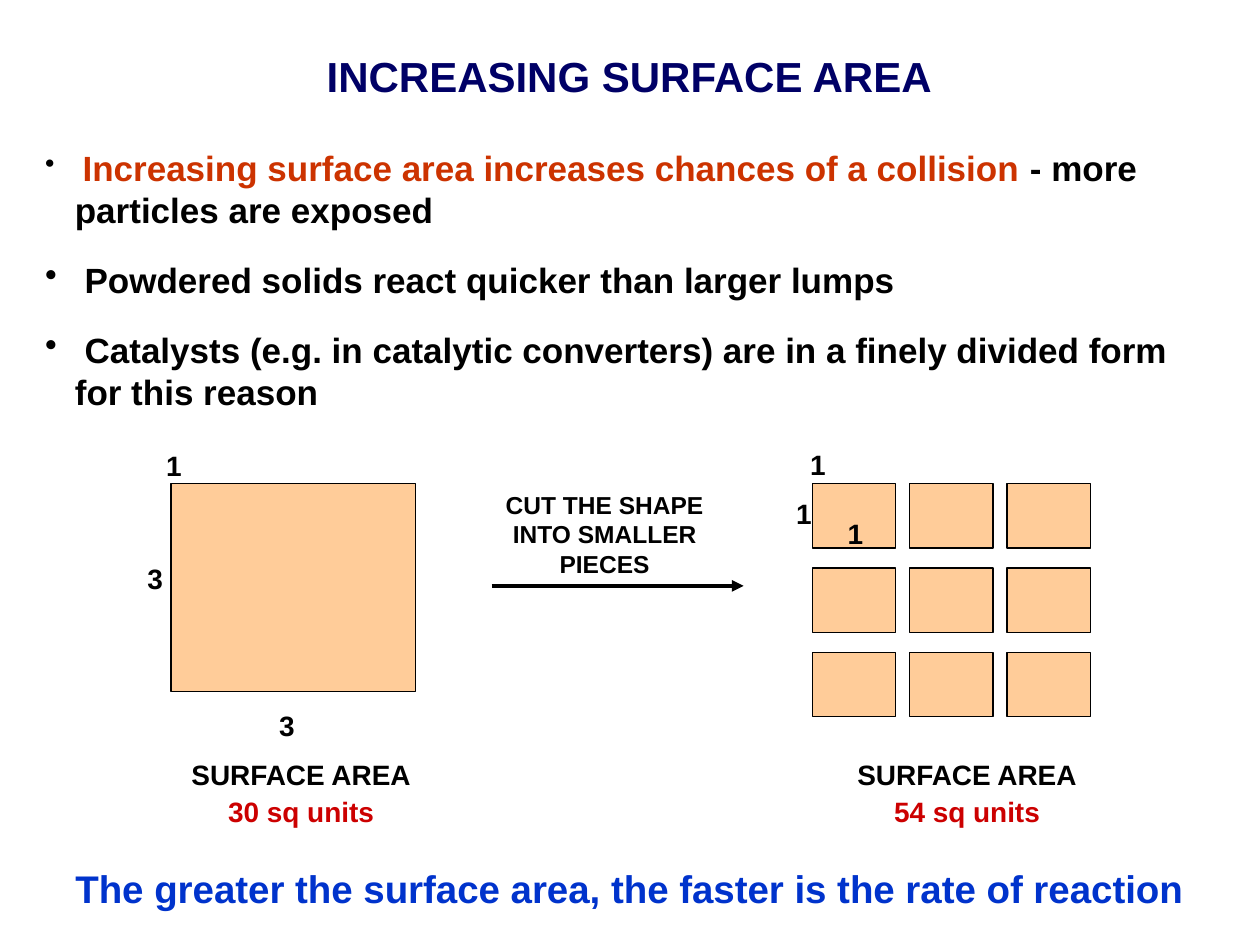
from dataclasses import dataclass
from itertools import product
from lxml.etree import SubElement
from pptx import Presentation
from pptx.dml.color import RGBColor as Rgb
from pptx.enum.shapes import MSO_CONNECTOR as Link, MSO_SHAPE as Kind
from pptx.enum.text import MSO_AUTO_SIZE as Fit, PP_ALIGN as Align
from pptx.oxml.ns import qn
from pptx.util import Cm, Pt


@dataclass(frozen=True)
class Theme:
    font: str = "Arial"
    black: str = "000000"
    navy: str = "000066"
    blue: str = "0033CC"
    rust: str = "CC3300"
    red: str = "CC0000"
    peach: str = "FFCC99"
    title: int = 24
    close: int = 22
    body: int = 20
    label: int = 16
    note: int = 14


theme = Theme()
deck = Presentation()
deck.slide_width, deck.slide_height = Cm(25.4), Cm(19.05)
slide = deck.slides.add_slide(deck.slide_layouts[6])


def add_text(box, paras, size, align=Align.CENTER, after=2):
    """Each paragraph is a list of (text, colour) runs."""
    frame = slide.shapes.add_textbox(*map(Cm, box)).text_frame
    frame.word_wrap = True
    frame.auto_size = Fit.SHAPE_TO_FIT_TEXT
    frame.text = "\n".join("".join(text for text, _ in runs) for runs in paras)
    for para, runs in zip(frame.paragraphs, paras):
        para.alignment = align
        para.space_after = Pt(after)
        if len(runs) > 1:
            para.text = ""
            for text, _ in runs:
                para.add_run().text = text
        for run, (_, color) in zip(para.runs, runs):
            font = run.font
            font.name, font.size, font.bold = theme.font, Pt(size), True
            font.color.rgb = Rgb.from_string(color)
    return frame


def add_block(left, top, width, height):
    block = slide.shapes.add_shape(Kind.RECTANGLE, *map(Cm, (left, top, width, height)))
    block.shadow.inherit = False
    block.fill.solid()
    block.fill.fore_color.rgb = Rgb.from_string(theme.peach)
    block.line.color.rgb = Rgb.from_string(theme.black)
    block.line.width = Pt(0.75)


# Title
add_text((4.01, 0.89, 17.35, 1.27), [[("INCREASING SURFACE AREA", theme.navy)]],
         theme.title, after=0)

# Bullet points
points = [
    [(" ", theme.black),
     ("Increasing surface area increases chances of a collision", theme.rust),
     (" - more particles are exposed", theme.black)],
    [(" Powdered solids react quicker than larger lumps", theme.black)],
    [(" Catalysts (e.g. in catalytic converters) are in a finely divided form"
      " for this reason", theme.black)],
]
body = add_text((0.66, 2.82, 23.95, 6.55), points, theme.body, Align.LEFT, 16)
body.paragraphs[0].runs[0].font.size = Pt(theme.label)
body.paragraphs[0].runs[0].font.bold = False
for para in body.paragraphs:
    props = para._p.get_or_add_pPr()
    props.set("marL", str(Cm(0.6)))
    props.set("indent", str(Cm(-0.6)))
    tint = SubElement(props, qn("a:buClr"))
    SubElement(tint, qn("a:srgbClr"), val=theme.black)
    SubElement(props, qn("a:buChar"), char="•")

# Whole block and its nine pieces
add_block(3.45, 9.75, 4.93, 4.19)
for row, col in product(range(3), repeat=2):
    add_block(16.38 + 1.96 * col, 9.75 + 1.7 * row, 1.68, 1.3)

# Arrow between them
arrow = slide.shapes.add_connector(Link.STRAIGHT, Cm(9.91), Cm(11.81), Cm(14.99), Cm(11.81))
arrow.line.color.rgb = Rgb.from_string(theme.black)
arrow.line.width = Pt(2.25)
SubElement(arrow.line._get_or_add_ln(), qn("a:tailEnd"), type="triangle")
SubElement(arrow._element.spPr, qn("a:effectLst"))
add_text((9.5, 9.75, 5.38, 2.03),
         [[("CUT THE SHAPE INTO SMALLER PIECES", theme.black)]], theme.note)

# Side lengths
sides = [("3", 2.72, 11.2), ("3", 5.38, 14.15), ("1", 3.1, 8.92),
         ("1", 15.8, 9.88), ("1", 16.84, 10.29), ("1", 16.08, 8.89)]
for text, left, top in sides:
    add_text((left, top, 0.71, 0.94), [[(text, theme.black)]], theme.label)

# Areas
for left, width, area in [(2.16, 7.82, "30 sq units"), (14.96, 9.07, "54 sq units")]:
    add_text((left, 15.14, width, 1.68),
             [[("SURFACE AREA", theme.black)], [(area, theme.red)]], theme.label)

# Conclusion
add_text((1.27, 17.32, 23.5, 1.19),
         [[("The greater the surface area, the faster is the rate of reaction", theme.blue)]],
         theme.close, Align.LEFT, 0)

deck.save("out.pptx")
